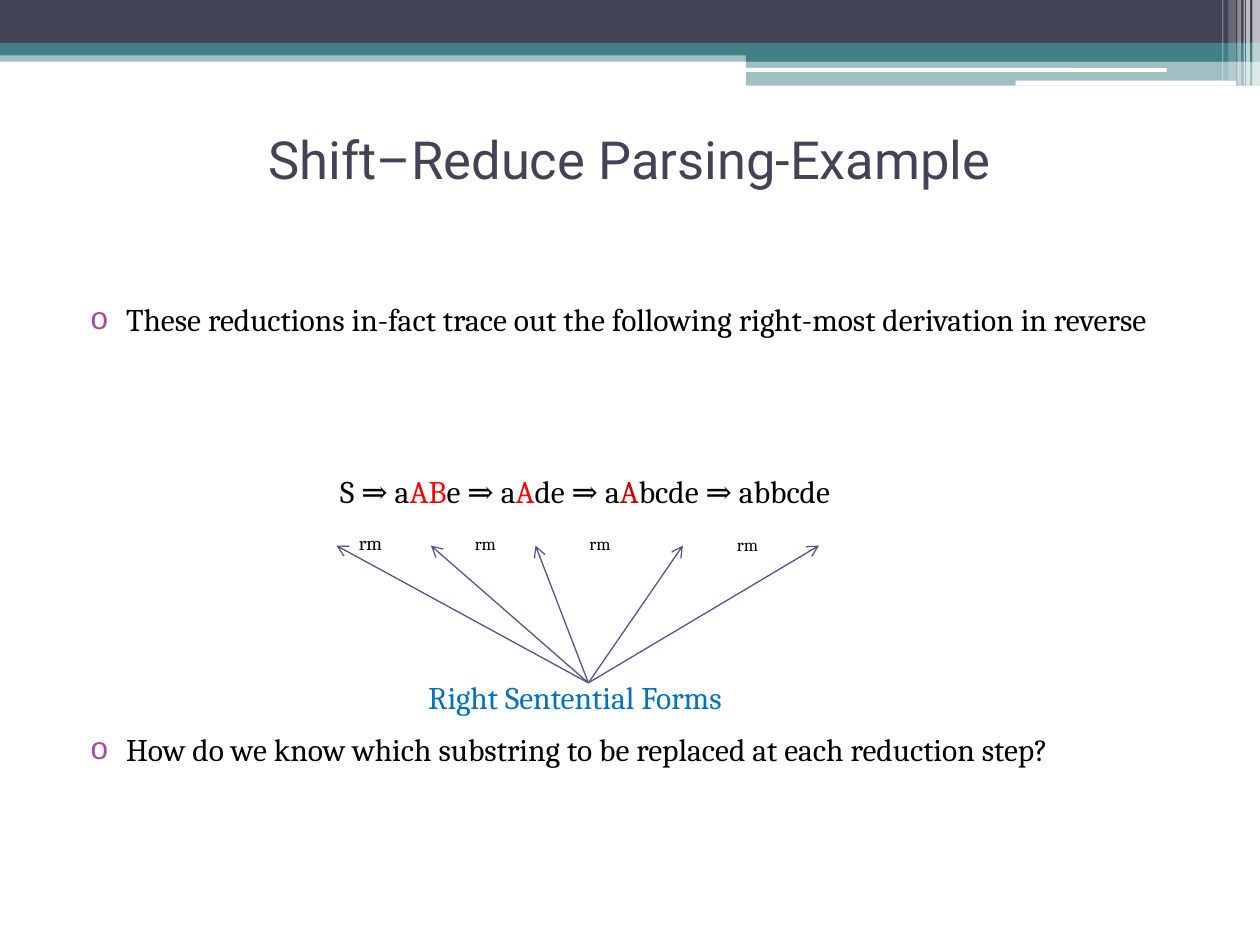
from dataclasses import dataclass

from lxml.etree import SubElement
from pptx import Presentation
from pptx.dml.color import RGBColor
from pptx.enum.shapes import MSO_CONNECTOR, MSO_SHAPE
from pptx.enum.text import MSO_ANCHOR, MSO_AUTO_SIZE, PP_ALIGN
from pptx.oxml.ns import qn
from pptx.util import Inches, Pt

WHITE = RGBColor(0xFF, 0xFF, 0xFF)
BLACK = RGBColor(0, 0, 0)
NAVY = RGBColor(0x42, 0x44, 0x56)
TEAL = RGBColor(0x43, 0x80, 0x86)
PURPLE = RGBColor(0xA0, 0x4D, 0xA3)
INDIGO = RGBColor(0x53, 0x54, 0x8A)
RED = RGBColor(0xFF, 0, 0)
DARK_RED = RGBColor(0xCC, 0, 0)
BLUE = RGBColor(0, 0x70, 0xC0)

TITLE_FONT = "Roboto"
BODY_FONT = "Cambria"


@dataclass(frozen=True)
class Band:
    left: float
    top: float
    width: float
    height: float
    color: RGBColor
    opacity: int = 100
    rounded: bool = False


@dataclass(frozen=True)
class Label:
    text: str
    left: float
    top: float
    width: float
    height: float
    size: int
    color: RGBColor = BLACK


@dataclass(frozen=True)
class Span:
    text: str
    color: RGBColor = BLACK


@dataclass(frozen=True)
class Line:
    spans: tuple[Span, ...]
    margin: float
    indent: float = 0
    space_before: float = 0
    bullet: str = ""


BANDS = [
    Band(0, 0.4, 10, 0.09, TEAL, 50),
    Band(0, 0, 10, 0.34, NAVY),
    Band(0, 0.34, 10, 0.1, TEAL),
    Band(5.92, 0.39, 4.08, 0.1, TEAL),
    Band(5.92, 0.48, 4.08, 0.2, TEAL, 50),
    Band(5.91, 0.54, 3.35, 0.03, WHITE, rounded=True),
    Band(8.06, 0.64, 1.75, 0.04, WHITE, rounded=True),
    Band(9.94, 0, 0.06, 0.68, WHITE, 65),
    Band(9.89, 0, 0.03, 0.68, WHITE, 65),
    Band(9.87, 0, 0.01, 0.68, WHITE, 60),
    Band(9.82, 0, 0.03, 0.68, WHITE, 40),
    Band(9.75, 0, 0.06, 0.64, WHITE, 20),
    Band(9.7, 0, 0.01, 0.64, WHITE, 30),
]

LINES = [
    Line((Span("These reductions in-fact trace out the following "
               "right-most derivation in reverse"),), 0.4, -0.28, bullet="o"),
    Line((Span("S ⇒ a"), Span("AB", RED), Span("e ⇒ a"), Span("A", RED),
          Span("de ⇒ a"), Span("A", DARK_RED), Span("bcde ⇒ abbcde")),
         2.1, space_before=76.7),
    Line((Span("How do we know which substring to be replaced "
               "at each reduction step?"),), 0.4, -0.28, 125.9, "o"),
]

LABELS = [
    Label("rm", 2.75, 4.17, 0.4, 0.29, 11),
    Label("rm", 3.67, 4.18, 0.38, 0.27, 10),
    Label("rm", 4.58, 4.18, 0.38, 0.27, 10),
    Label("rm", 5.75, 4.19, 0.38, 0.27, 10),
    Label("Right Sentential Forms", 3.3, 5.33, 2.79, 0.4, 18, BLUE),
]

ARROW_START = (4.67, 5.42)
ARROW_TIPS_X = [2.67, 3.42, 4.25, 5.42, 6.5]
ARROW_TIPS_Y = 4.33


def place(shape, left: float, top: float, width: float, height: float) -> None:
    shape.left, shape.top = Inches(left), Inches(top)
    shape.width, shape.height = Inches(width), Inches(height)


def style(run, font: str, size: float, color: RGBColor) -> None:
    run.font.name = font
    run.font.size = Pt(size)
    run.font.color.rgb = color


def draw_band(page, band: Band) -> None:
    kind = MSO_SHAPE.ROUNDED_RECTANGLE if band.rounded else MSO_SHAPE.RECTANGLE
    shape = page.shapes.add_shape(kind, Inches(band.left), Inches(band.top),
                                  Inches(band.width), Inches(band.height))
    shape.shadow.inherit = False
    shape.line.fill.background()
    shape.fill.solid()
    shape.fill.fore_color.rgb = band.color
    if band.opacity < 100:
        color = shape.fill._xPr.find(qn("a:solidFill"))[0]
        SubElement(color, qn("a:alpha"), val=str(band.opacity * 1000))


def write_line(paragraph, line: Line) -> None:
    properties = paragraph._p.get_or_add_pPr()
    properties.set("marL", str(Inches(line.margin)))
    properties.set("indent", str(Inches(line.indent)))
    if line.bullet:
        color = SubElement(properties, qn("a:buClr"))
        SubElement(color, qn("a:srgbClr"), val=str(PURPLE))
        SubElement(properties, qn("a:buChar"), char=line.bullet)
    else:
        SubElement(properties, qn("a:buNone"))
    paragraph.space_before = Pt(line.space_before)
    for span in line.spans:
        run = paragraph.add_run()
        run.text = span.text
        style(run, BODY_FONT, 18, span.color)


def draw_label(page, label: Label) -> None:
    box = page.shapes.add_textbox(Inches(label.left), Inches(label.top),
                                  Inches(label.width), Inches(label.height))
    frame = box.text_frame
    frame.text = label.text
    frame.word_wrap = False
    frame.auto_size = MSO_AUTO_SIZE.SHAPE_TO_FIT_TEXT
    style(frame.paragraphs[0].runs[0], BODY_FONT, label.size, label.color)


def draw_arrow(page, tip_x: float) -> None:
    start_x, start_y = ARROW_START
    arrow = page.shapes.add_connector(
        MSO_CONNECTOR.STRAIGHT, Inches(start_x), Inches(start_y),
        Inches(tip_x), Inches(ARROW_TIPS_Y))
    arrow.line.color.rgb = INDIGO
    arrow.line.width = Pt(0.75)
    SubElement(arrow.line._get_or_add_ln(), qn("a:tailEnd"), type="arrow")
    SubElement(arrow._element.spPr, qn("a:effectLst"))


def main() -> None:
    deck = Presentation()
    deck.slide_width, deck.slide_height = Inches(10), Inches(7.5)
    page = deck.slides.add_slide(deck.slide_layouts[1])
    title, body = page.shapes.title, page.placeholders[1]

    for band in BANDS:
        draw_band(page, band)

    place(title, 0.5, 0.67, 9, 1.17)
    title.text_frame.text = "Shift–Reduce Parsing-Example"
    title.text_frame.auto_size = MSO_AUTO_SIZE.NONE
    title.text_frame.vertical_anchor = MSO_ANCHOR.MIDDLE
    heading = title.text_frame.paragraphs[0]
    heading.alignment = PP_ALIGN.CENTER
    style(heading.runs[0], TITLE_FONT, 30, NAVY)

    place(body, 0.5, 2.33, 9, 4.73)
    frame = body.text_frame
    frame.auto_size = MSO_AUTO_SIZE.NONE
    for index, line in enumerate(LINES):
        write_line(frame.add_paragraph() if index else frame.paragraphs[0], line)

    for tip_x in ARROW_TIPS_X:
        draw_arrow(page, tip_x)
    for label in LABELS:
        draw_label(page, label)

    deck.save("out.pptx")


if __name__ == "__main__":
    main()
